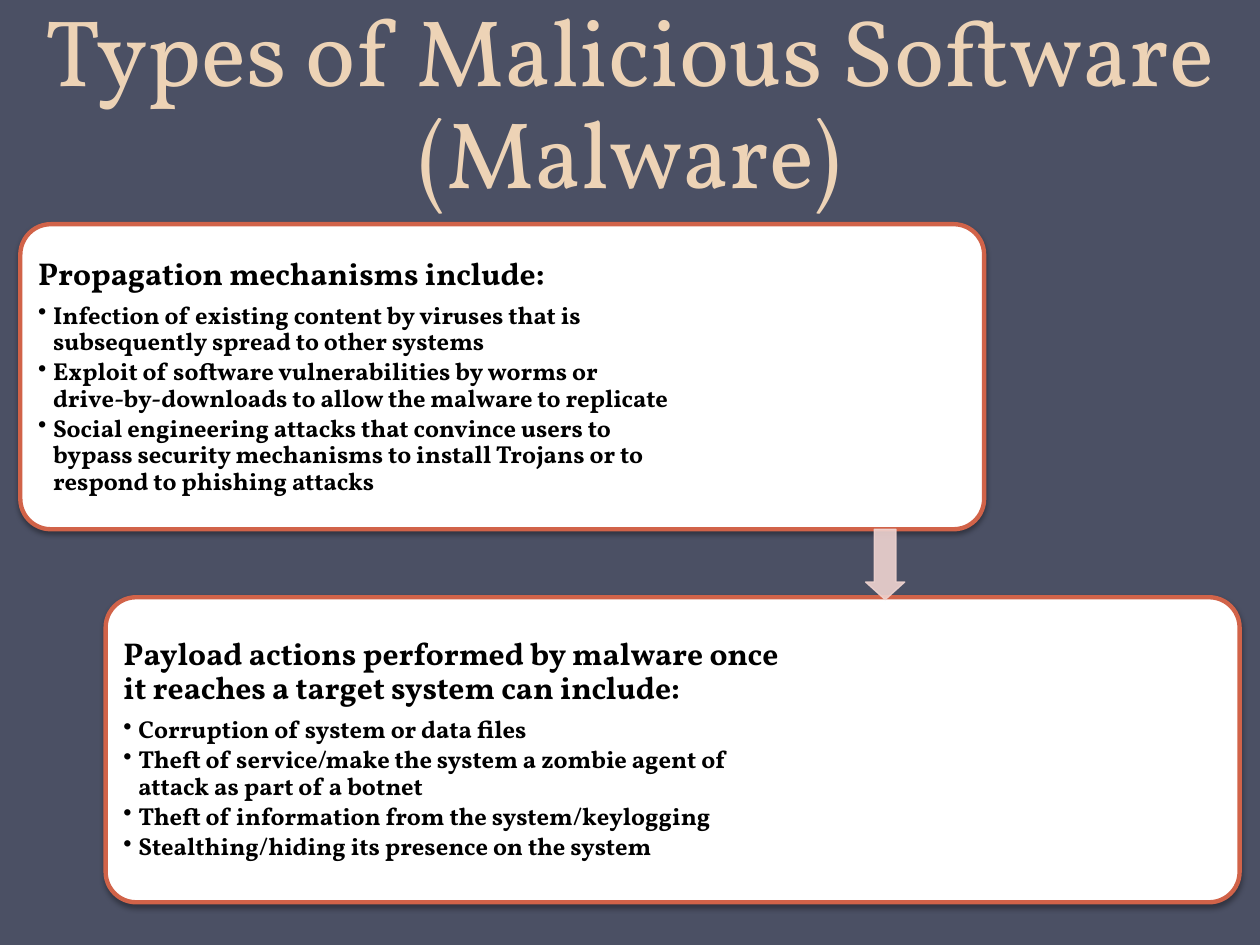
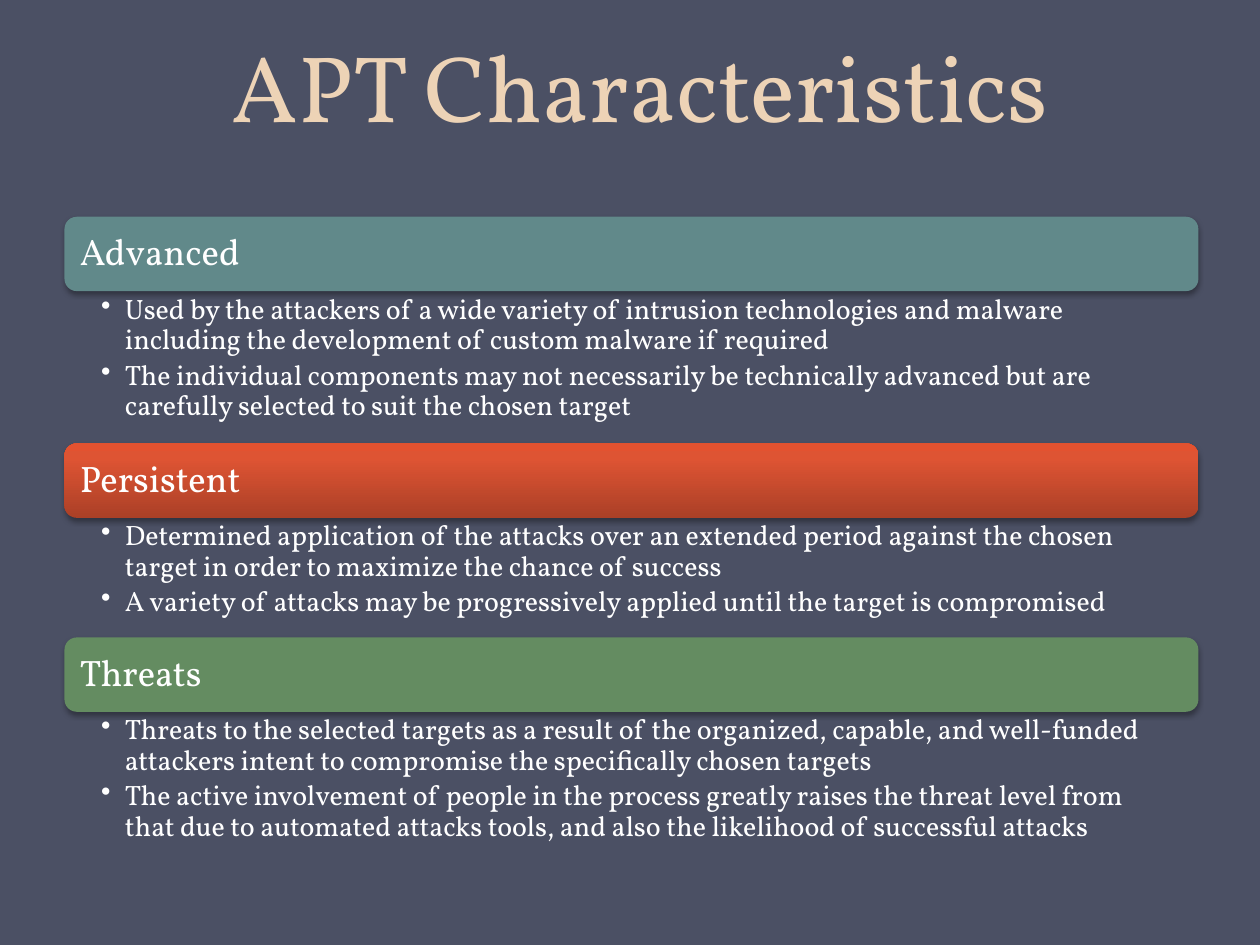
from copy import deepcopy

from lxml import etree
from pptx import Presentation, util as u
from pptx.dml.color import RGBColor
from pptx.enum import shapes, text
from pptx.oxml import ns

COLORS = {
    "background": "4B5064",
    "title": "EDD3B6",
    "white": "FFFFFF",
    "black": "000000",
    "border": "D16349",
    "arrow": "EED3D0",
    "advanced": "61898A",
    "threats": "648C61",
}
PERSISTENT_STOPS = [(0, "AB4027"), (0.8, "DE5433"), (1, "E35230")]

MECHANISMS = [
    "Infection of existing content by viruses that is subsequently spread to other systems",
    "Exploit of software vulnerabilities by worms or drive-by-downloads to allow the malware to replicate",
    "Social engineering attacks that convince users to bypass security mechanisms to install Trojans "
    "or to respond to phishing attacks",
]
PAYLOADS = [
    "Corruption of system or data files",
    "Theft of service/make the system a zombie agent of attack as part of a botnet",
    "Theft of information from the system/keylogging",
    "Stealthing/hiding its presence on the system",
]
CHARACTERISTICS = [
    ("Advanced", "advanced", 3.07, [
        "Used by the attackers of a wide variety of intrusion technologies and malware including "
        "the development of custom malware if required",
        "The individual components may not necessarily be technically advanced but are carefully "
        "selected to suit the chosen target",
    ]),
    ("Persistent", PERSISTENT_STOPS, 2.41, [
        "Determined application of the attacks over an extended period against the chosen target "
        "in order to maximize the chance of success",
        "A variety of attacks may be progressively applied until the target is compromised",
    ]),
    ("Threats", "threats", 3.07, [
        "Threats to the selected targets as a result of the organized, capable, and well-funded "
        "attackers intent to compromise the specifically chosen targets",
        "The active involvement of people in the process greatly raises the threat level from that "
        "due to automated attacks tools, and also the likelihood of successful attacks",
    ]),
]


def rgb(name):
    return RGBColor.from_string(COLORS.get(name, name))


def add_xml(parent, tag, **attributes):
    return etree.SubElement(parent, ns.qn(tag), {key: str(value) for key, value in attributes.items()})


class Deck:
    font = "Vollkorn"

    def __init__(self):
        self.presentation = Presentation()
        self.presentation.slide_width = u.Cm(25.4)
        self.presentation.slide_height = u.Cm(19.05)
        self.slide = None

    def new_slide(self):
        self.slide = self.presentation.slides.add_slide(self.presentation.slide_layouts[6])
        self.slide.background.fill.solid()
        self.slide.background.fill.fore_color.rgb = rgb("background")

    def title(self, words, left, top, width, height):
        frame = self.text_frame(left, top, width, height, (0.25, 0.13, 0.25, 0.13), text.MSO_ANCHOR.BOTTOM)
        paragraph = self.paragraph(frame, words, 54, "title")
        paragraph.alignment = text.PP_ALIGN.CENTER
        paragraph.line_spacing = u.Pt(58)

    def text_frame(self, left, top, width, height, insets, anchor=text.MSO_ANCHOR.TOP):
        box = self.slide.shapes.add_textbox(*map(u.Cm, (left, top, width, height)))
        frame = box.text_frame
        frame.word_wrap = True
        frame.vertical_anchor = anchor
        frame.margin_left, frame.margin_top, frame.margin_right, frame.margin_bottom = map(u.Cm, insets)
        return frame

    def paragraph(self, frame, words, size, color, bold=False, after=None, indent=None):
        first = frame.paragraphs[0]
        paragraph = frame.add_paragraph() if first.runs else first
        if indent:
            paragraph.level = 1
            properties = paragraph._p.get_or_add_pPr()
            properties.set("marL", str(u.Cm(indent)))
            properties.set("indent", str(-u.Cm(indent)))
            add_xml(properties, "a:buChar", char="•")
        if after:
            paragraph.line_spacing = 0.9
            paragraph.space_after = u.Pt(0)
            spacing = paragraph._p.pPr.find(ns.qn("a:spcAft"))
            spacing.remove(spacing[0])
            add_xml(spacing, "a:spcPct", val=after * 1000)
        run = paragraph.add_run()
        run.text = words
        run.font.name = self.font
        run.font.size = u.Pt(size)
        run.font.bold = bold
        run.font.color.rgb = rgb(color)
        return paragraph

    def shape(self, kind, left, top, width, height, fill, adjustments=()):
        shape = self.slide.shapes.add_shape(kind, *map(u.Cm, (left, top, width, height)))
        shape.shadow.inherit = False
        if isinstance(fill, list):
            self.gradient(shape, fill)
        else:
            shape.fill.solid()
            shape.fill.fore_color.rgb = rgb(fill)
        shape.line.fill.background()
        for index, value in enumerate(adjustments):
            shape.adjustments[index] = value
        return shape

    def gradient(self, shape, stops):
        shape.fill.gradient()
        shape.fill.gradient_angle = 90
        stop_list = shape._element.spPr.find(".//" + ns.qn("a:gsLst"))
        stop_list.append(deepcopy(stop_list[0]))
        for stop, (position, color) in zip(shape.fill.gradient_stops, stops):
            stop.position = position
            stop.color.rgb = rgb(color)

    def outline(self, shape, color, width):
        shape.line.color.rgb = rgb(color)
        shape.line.width = u.Pt(width)

    def rounded_box(self, left, top, width, height, fill, adjustments=()):
        shape = self.shape(shapes.MSO_SHAPE.ROUNDED_RECTANGLE, left, top, width, height, fill, adjustments)
        effects = shape._element.spPr.find(ns.qn("a:effectLst"))
        shadow = add_xml(effects, "a:outerShdw", blurRad=u.Pt(3.1), dist=u.Pt(1.8),
                         dir=5400000, rotWithShape=0)
        add_xml(add_xml(shadow, "a:srgbClr", val=COLORS["black"]), "a:alpha", val=35000)
        return shape

    def card(self, left, top, width, text_width, heading, bullets):
        height, edge = 6.15, 0.18
        self.outline(self.rounded_box(left, top, width, height, "white", [0.1]), "border", 2.5)
        frame = self.text_frame(left + edge, top + edge, text_width, height - 2 * edge,
                                [edge] * 4, text.MSO_ANCHOR.MIDDLE)
        self.paragraph(frame, heading, 18, "black", bold=True, after=35)
        for bullet in bullets:
            self.paragraph(frame, bullet, 14, "black", bold=True, after=15, indent=0.3)

    def down_arrow(self, left, top, width, height):
        shape = self.shape(shapes.MSO_SHAPE.DOWN_ARROW, left, top, width, height, "arrow", [0.55, 0.45])
        self.outline(shape, "arrow", 0.75)
        for color in shape._element.spPr.iter(ns.qn("a:srgbClr")):
            add_xml(color, "a:alpha", val=90000)

    def band(self, left, top, width, height, label, fill):
        edge = 0.08
        self.rounded_box(left, top, width, height, fill)
        frame = self.text_frame(left + edge, top + edge, width - 2 * edge, height - 2 * edge,
                                [0.23] * 4, text.MSO_ANCHOR.MIDDLE)
        self.paragraph(frame, label, 21, "white", after=35)

    def bullet_list(self, left, top, width, height, bullets):
        frame = self.text_frame(left, top, width, height, (0.74, 0.08, 0.41, 0.08))
        for bullet in bullets:
            self.paragraph(frame, bullet, 16, "white", after=20, indent=0.48)


def build_malware_types(deck):
    deck.new_slide()
    deck.title("Types of Malicious Software (Malware)", 0, -0.64, 25.4, 4.95)
    deck.card(0.41, 4.52, 19.43, 13.08, "Propagation mechanisms include:", MECHANISMS)
    deck.card(2.13, 12.04, 22.86, 13.77,
              "Payload actions performed by malware once it reaches a target system can include:", PAYLOADS)
    deck.down_arrow(17.45, 10.67, 0.79, 1.42)


def build_apt_characteristics(deck):
    deck.new_slide()
    deck.title("APT Characteristics", 1.47, -1.47, 22.86, 4.45)
    left, top, width, band_height = 1.3, 4.37, 22.86, 1.5
    for label, fill, list_height, bullets in CHARACTERISTICS:
        deck.band(left, top, width, band_height, label, fill)
        deck.bullet_list(left, top + band_height, width, list_height, bullets)
        top += band_height + list_height


def main():
    deck = Deck()
    build_malware_types(deck)
    build_apt_characteristics(deck)
    deck.presentation.save("out.pptx")


if __name__ == "__main__":
    main()
